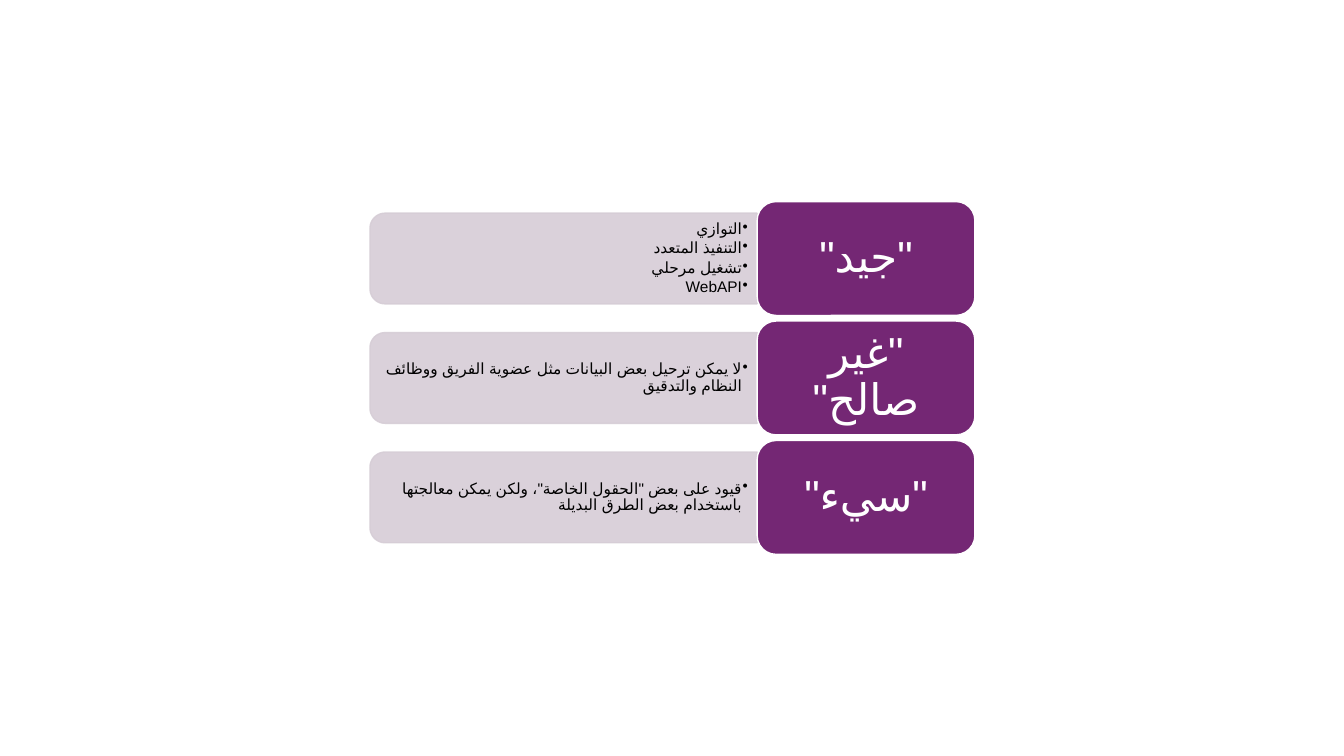
import math

from lxml import etree
from pptx import Presentation
from pptx.dml.color import RGBColor
from pptx.enum.lang import MSO_LANGUAGE_ID
from pptx.enum.shapes import MSO_SHAPE
from pptx.enum.text import MSO_ANCHOR, PP_ALIGN
from pptx.oxml.ns import qn
from pptx.util import Inches, Pt

ROUNDED_RECTANGLE = MSO_SHAPE.ROUNDED_RECTANGLE
MIDDLE = MSO_ANCHOR.MIDDLE
CENTER, RIGHT = PP_ALIGN.CENTER, PP_ALIGN.RIGHT
ARABIC = MSO_LANGUAGE_ID.ARABIC

PURPLE = RGBColor(0x74, 0x27, 0x74)
LILAC = RGBColor(0xD6, 0xCD, 0xD6)
WHITE = RGBColor(0xFF, 0xFF, 0xFF)
BLACK = RGBColor(0x00, 0x00, 0x00)
FONT_NAME = "Arial"
BLANK_LAYOUT = 6

# Row layout in inches
FIRST_TOP, ROW_PITCH = 2.0, 1.185
LABEL_LEFT, LABEL_WIDTH, LABEL_HEIGHT = 7.51, 2.16, 1.13
PANEL_LEFT, PANEL_HEIGHT, PANEL_RADIUS = 3.67, 0.9, 0.15
ARC_STEPS = 12

ROWS = [
    ('"جيد"', ["التوازي", "التنفيذ المتعدد", "تشغيل مرحلي", "WebAPI"]),
    ('"غير صالح"', ["لا يمكن ترحيل بعض البيانات مثل عضوية الفريق ووظائف النظام والتدقيق"]),
    ('"سيء"', ['قيود على بعض "الحقول الخاصة"، ولكن يمكن معالجتها باستخدام بعض الطرق البديلة']),
]


def style_shape(shape, fill_color, line_color):
    shape.shadow.inherit = False
    shape.fill.solid()
    shape.fill.fore_color.rgb = fill_color
    shape.line.color.rgb = line_color
    shape.line.width = Pt(1)


def set_opacity(shape, percent):
    for color in shape._element.spPr.iter(qn("a:srgbClr")):
        etree.SubElement(color, qn("a:alpha"), val=str(percent * 1000))


def prepare_frame(shape, left, right, vertical):
    frame = shape.text_frame
    frame.word_wrap = True
    frame.vertical_anchor = MIDDLE
    frame.margin_left, frame.margin_right = Inches(left), Inches(right)
    frame.margin_top = frame.margin_bottom = Inches(vertical)
    return frame


def format_paragraph(paragraph, alignment, size, color):
    paragraph.alignment = alignment
    paragraph.line_spacing = 0.9
    paragraph._p.get_or_add_pPr().set("rtl", "1")
    for run in paragraph.runs:
        run.font.language_id = ARABIC
        run.font.size = Pt(size)
        run.font.color.rgb = color
        run.font.name = FONT_NAME
        etree.SubElement(run._r.get_or_add_rPr(), qn("a:cs"), typeface=FONT_NAME)


def add_bullet(paragraph):
    properties = paragraph._p.get_or_add_pPr()
    indent = Inches(0.06)
    properties.set("marL", str(indent))
    properties.set("indent", str(-indent))
    etree.SubElement(properties, qn("a:buChar"), char="•")


def left_corner(center_y, start_degrees):
    """Points of a quarter circle, turning from start_degrees by 90 degrees."""
    center_x = PANEL_LEFT + PANEL_RADIUS
    angles = [math.radians(start_degrees + 90 * step / ARC_STEPS) for step in range(ARC_STEPS + 1)]
    return [(Inches(center_x + PANEL_RADIUS * math.cos(angle)),
             Inches(center_y + PANEL_RADIUS * math.sin(angle))) for angle in angles]


def add_panel(slide, top, items):
    bottom = top + PANEL_HEIGHT
    outline = left_corner(bottom - PANEL_RADIUS, 90) + left_corner(top + PANEL_RADIUS, 180)
    outline.append((Inches(LABEL_LEFT), Inches(top)))
    builder = slide.shapes.build_freeform(Inches(LABEL_LEFT), Inches(bottom))
    builder.add_line_segments(outline, close=True)
    panel = builder.convert_to_shape()
    style_shape(panel, LILAC, LILAC)
    set_opacity(panel, 90)

    frame = prepare_frame(panel, 0.05, 0.09, 0.07)
    frame.text = "\n".join(items)
    for paragraph in frame.paragraphs:
        paragraph.level = 1
        paragraph.space_after = Pt(2)
        add_bullet(paragraph)
        format_paragraph(paragraph, RIGHT, 11, BLACK)


def add_label(slide, top, text):
    label = slide.shapes.add_shape(
        ROUNDED_RECTANGLE, Inches(LABEL_LEFT), Inches(top), Inches(LABEL_WIDTH), Inches(LABEL_HEIGHT))
    style_shape(label, PURPLE, WHITE)
    # The corner already insets the text area of a rounded rectangle
    frame = prepare_frame(label, 0.12, 0.12, 0.06)
    frame.text = text
    format_paragraph(frame.paragraphs[0], CENTER, 31, WHITE)


def main():
    presentation = Presentation()
    presentation.slide_width, presentation.slide_height = Inches(13.33), Inches(7.5)
    slide = presentation.slides.add_slide(presentation.slide_layouts[BLANK_LAYOUT])

    # One panel with its label per row
    for index, (label, items) in enumerate(ROWS):
        top = FIRST_TOP + index * ROW_PITCH
        add_panel(slide, top + (LABEL_HEIGHT - PANEL_HEIGHT) / 2, items)
        add_label(slide, top, label)

    presentation.save("out.pptx")


if __name__ == "__main__":
    main()
